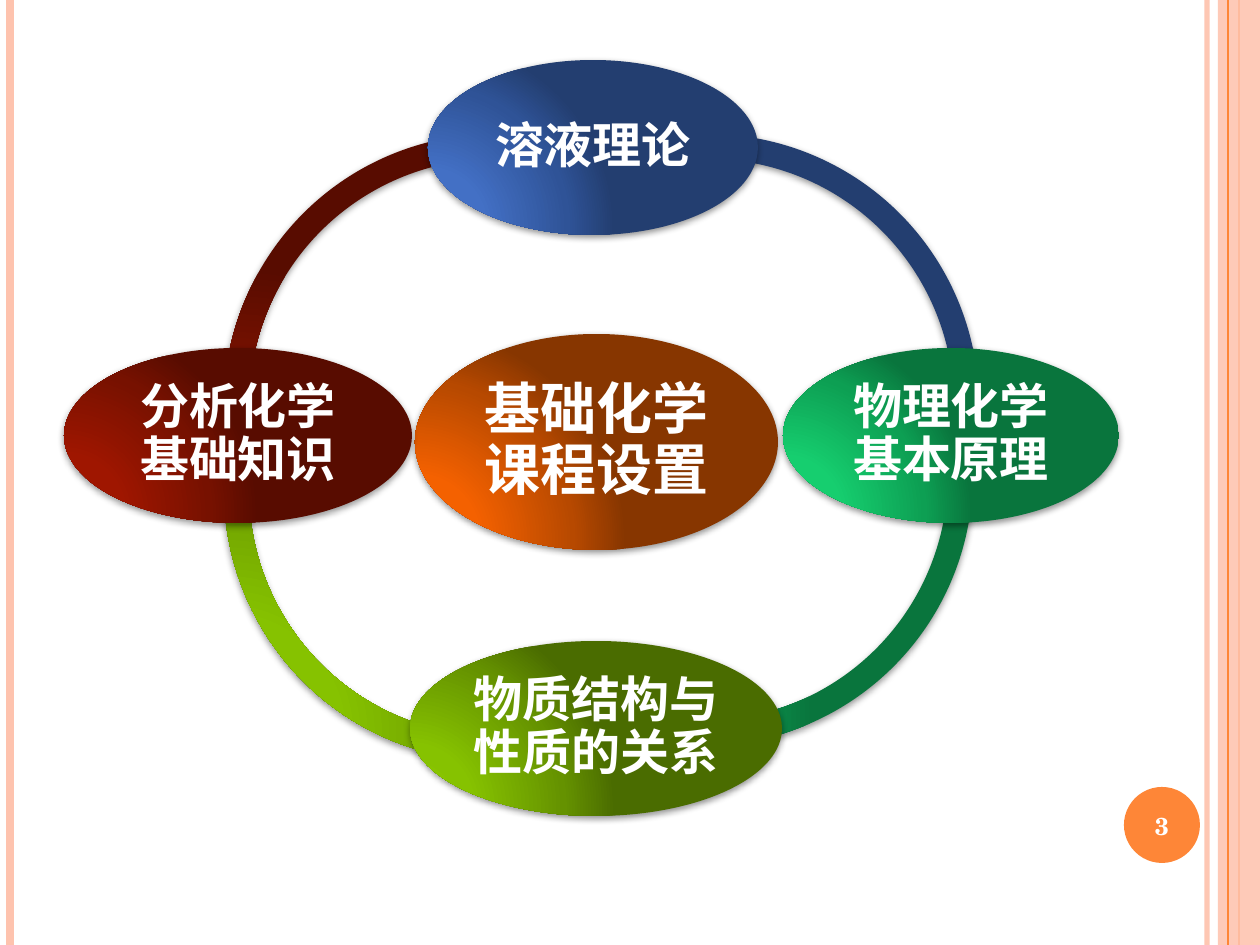
from dataclasses import dataclass

from lxml.etree import SubElement
from pptx import Presentation
from pptx.dml.color import RGBColor
from pptx.enum.shapes import MSO_CONNECTOR, MSO_SHAPE
from pptx.enum.text import MSO_ANCHOR, PP_ALIGN
from pptx.oxml.ns import qn
from pptx.util import Pt

PX = 914400 / 126
WIDTH, HEIGHT = 1260, 945
FONT = "TeX Gyre Schola"
TOPIC_INSET = 6
ARC_SIZE = 542
ARC_THICKNESS = 0.046
STOPS = (0, 30, 75, 100)

BLACK = RGBColor(0x00, 0x00, 0x00)
WHITE = RGBColor(0xFF, 0xFF, 0xFF)
PEACH = RGBColor(0xFE, 0xC3, 0xAE)
ACCENT = RGBColor(0xFE, 0x86, 0x37)
RED = tuple(map(RGBColor.from_string, ("A41700", "9F1600", "771100", "580C00")))
LIME = tuple(map(RGBColor.from_string, ("8BC900", "86C200", "659200", "4A6C00")))
GREEN = tuple(map(RGBColor.from_string, ("17D573", "16CE6F", "0D9F53", "09753D")))
BLUE = tuple(map(RGBColor.from_string, ("4574CC", "4370C5", "2F5397", "233E70")))
ORANGE = tuple(map(RGBColor.from_string, ("FD6400", "F46100", "B74900", "873600")))


@dataclass(frozen=True)
class Stripe:
    x: int
    color: RGBColor
    weight: float
    opacity: int = 100


@dataclass(frozen=True)
class Arc:
    left: int
    top: int
    start: float
    end: float
    shades: tuple


@dataclass(frozen=True)
class Topic:
    text: str
    left: int
    top: int
    width: int
    height: int
    shades: tuple
    size: int = 28


BACK_STRIPES = (
    Stripe(1207, PEACH, 3, 93),
    Stripe(10, PEACH, 4.5),
    Stripe(1239, ACCENT, 1.5),
)
FRONT_STRIPE = Stripe(1228, ACCENT, 0.75)

ARCS = (
    Arc(224, 134, 106.2, 173.99, RED),
    Arc(224, 219, 41.98, 110.35, LIME),
    Arc(431, 204, 213.5, 66.45, GREEN),
    Arc(437, 134, 149.59, 1.95, BLUE),
)

TOPICS = (
    Topic("基础化学课程设置", 415, 334, 363, 216, ORANGE, 32),
    Topic("溶液理论", 428, 60, 330, 175, BLUE),
    Topic("物理化学基本原理", 783, 348, 336, 175, GREEN),
    Topic("物质结构与性质的关系", 410, 641, 372, 175, LIME),
    Topic("分析化学基础知识", 64, 348, 348, 175, RED),
)


def px(length: int) -> int:
    return round(length * PX)


def set_opacity(shape, percent: int) -> None:
    for color in shape._element.spPr.iter(qn("a:srgbClr")):
        SubElement(color, qn("a:alpha"), val=str(percent * 1000))


def draw_stripe(slide, stripe: Stripe) -> None:
    line = slide.shapes.add_connector(
        MSO_CONNECTOR.STRAIGHT, px(stripe.x), 0, px(stripe.x), px(HEIGHT)
    )
    line.line.color.rgb = stripe.color
    line.line.width = Pt(stripe.weight)
    SubElement(line._element.spPr, qn("a:effectLst"))
    if stripe.opacity < 100:
        set_opacity(line, stripe.opacity)


def draw_shape(slide, preset, left: int, top: int, width: int, height: int):
    shape = slide.shapes.add_shape(preset, px(left), px(top), px(width), px(height))
    shape.line.fill.background()
    shape.shadow.inherit = False
    return shape


def draw_solid(slide, preset, left: int, top: int, width: int, height: int, color: RGBColor):
    shape = draw_shape(slide, preset, left, top, width, height)
    shape.fill.solid()
    shape.fill.fore_color.rgb = color
    return shape


def add_glow(shape, shades: tuple) -> None:
    properties = shape._element.spPr
    gradient = SubElement(properties, qn("a:gradFill"), rotWithShape="1")
    properties.find(qn("a:prstGeom")).addnext(gradient)
    stops = SubElement(gradient, qn("a:gsLst"))
    for position, shade in zip(STOPS, shades):
        stop = SubElement(stops, qn("a:gs"), pos=str(position * 1000))
        SubElement(stop, qn("a:srgbClr"), val=str(shade))
    radial = SubElement(gradient, qn("a:path"), {"path": "circle"})
    SubElement(radial, qn("a:fillToRect"), l="5000", t="100000", r="120000", b="10000")

    shadow = SubElement(
        properties.find(qn("a:effectLst")), qn("a:outerShdw"),
        blurRad=str(Pt(4)), dist=str(Pt(1.6)), dir="5400000", rotWithShape="0",
    )
    shadow_color = SubElement(shadow, qn("a:srgbClr"), val=str(BLACK))
    SubElement(shadow_color, qn("a:alpha"), val="42000")


def write_text(shape, text: str, *, size: int, inset: int, spacing: float = 1.0) -> None:
    frame = shape.text_frame
    frame.word_wrap = True
    frame.vertical_anchor = MSO_ANCHOR.MIDDLE
    frame.margin_left = frame.margin_right = px(inset)
    frame.margin_top = frame.margin_bottom = px(inset)
    paragraph = frame.paragraphs[0]
    paragraph.alignment = PP_ALIGN.CENTER
    paragraph.line_spacing = spacing
    run = paragraph.add_run()
    run.text = text
    run.font.name = FONT
    run.font.size = Pt(size)
    run.font.bold = True
    run.font.color.rgb = WHITE


def draw_arc(slide, arc: Arc) -> None:
    ring = draw_shape(slide, MSO_SHAPE.BLOCK_ARC, arc.left, arc.top, ARC_SIZE, ARC_SIZE)
    for index, value in enumerate((arc.start, arc.end, ARC_THICKNESS)):
        ring.adjustments[index] = value
    add_glow(ring, arc.shades)


def draw_topic(slide, topic: Topic) -> None:
    oval = draw_shape(
        slide, MSO_SHAPE.OVAL, topic.left, topic.top, topic.width, topic.height
    )
    add_glow(oval, topic.shades)
    write_text(oval, topic.text, size=topic.size, inset=TOPIC_INSET, spacing=0.9)


def main() -> None:
    presentation = Presentation()
    presentation.slide_width, presentation.slide_height = px(WIDTH), px(HEIGHT)
    slide = presentation.slides.add_slide(presentation.slide_layouts[6])

    for stripe in BACK_STRIPES:
        draw_stripe(slide, stripe)
    side_band = draw_solid(slide, MSO_SHAPE.RECTANGLE, 1218, 0, 42, HEIGHT, PEACH)
    set_opacity(side_band, 87)
    draw_stripe(slide, FRONT_STRIPE)

    draw_solid(slide, MSO_SHAPE.OVAL, 1124, 787, 76, 76, ACCENT)
    page_number = slide.shapes.add_textbox(px(1120), px(790), px(84), px(72))
    write_text(page_number, "3", size=14, inset=6)

    for arc in ARCS:
        draw_arc(slide, arc)
    for topic in TOPICS:
        draw_topic(slide, topic)

    presentation.save("out.pptx")


if __name__ == "__main__":
    main()
